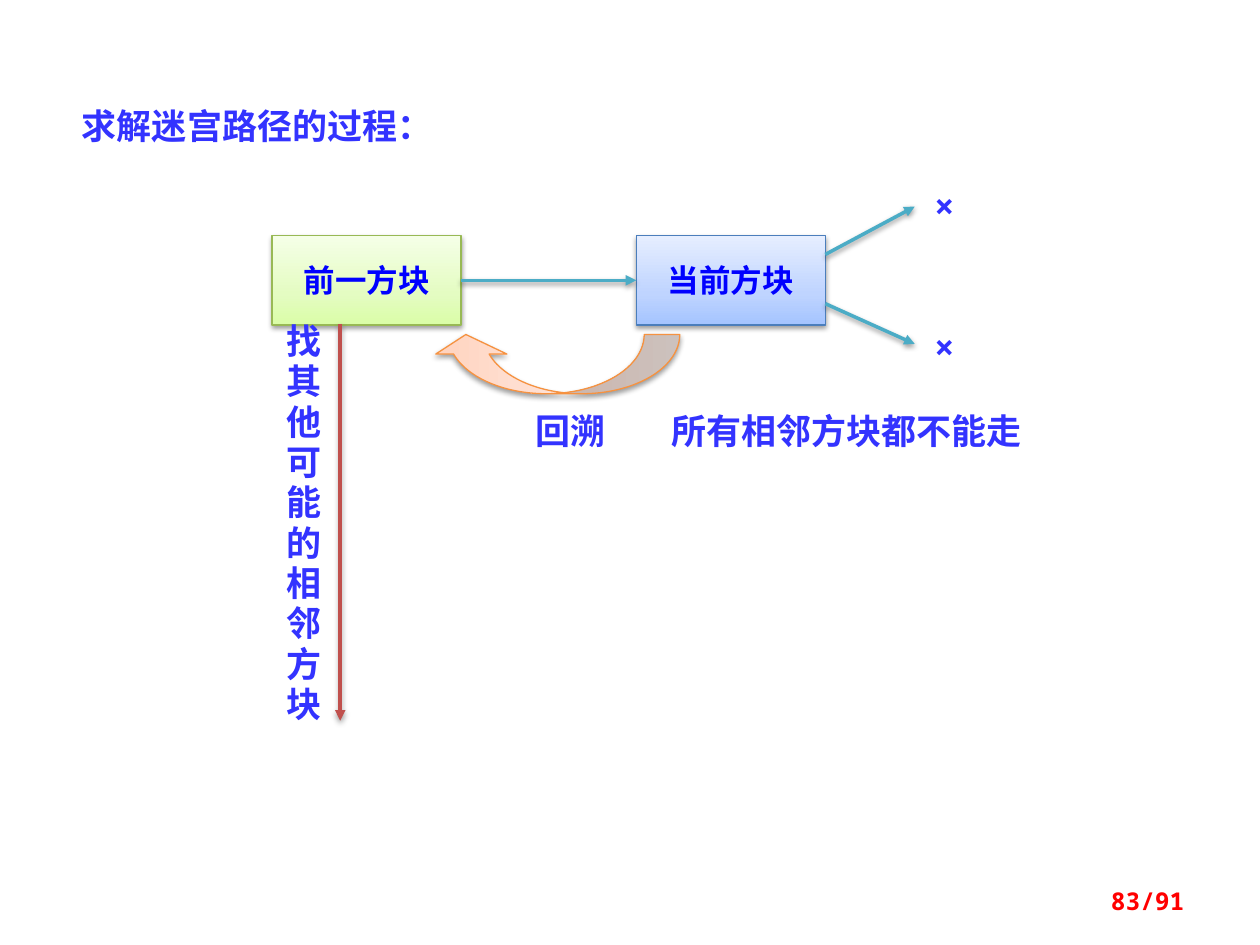
from lxml import etree
from pptx import Presentation, util as u
from pptx.dml.color import RGBColor
from pptx.enum import shapes, text
from pptx.oxml import parse_xml
from pptx.oxml.ns import nsdecls, qn

INDIGO = RGBColor(0x33, 0x33, 0xFF)
BLUE = RGBColor(0x00, 0x00, 0xFF)
RED = RGBColor(0xFF, 0x00, 0x00)
TEAL = RGBColor(0x4B, 0xAC, 0xC6)
BRICK = RGBColor(0xC0, 0x50, 0x4D)
GREEN_EDGE = RGBColor(0x98, 0xB9, 0x55)
BLUE_EDGE = RGBColor(0x4B, 0x7E, 0xBC)
ORANGE_EDGE = RGBColor(0xF6, 0x92, 0x40)
MONO, SC, JP = "Noto Sans Mono", "Noto Sans CJK SC", "Noto Sans CJK JP"
LEFT, CENTER, RIGHT = text.PP_ALIGN.LEFT, text.PP_ALIGN.CENTER, text.PP_ALIGN.RIGHT

prs = Presentation()
prs.slide_width, prs.slide_height = u.Inches(10), u.Inches(7.5)
slide = prs.slides.add_slide(prs.slide_layouts[5])
COL, ROW = prs.slide_width / 100, prs.slide_height / 75


def write(s, words, align=CENTER, size=20, color=INDIGO, latin=MONO, asian=SC, wrap=True):
    tf = s.text_frame
    tf.word_wrap = wrap
    tf.vertical_anchor = text.MSO_ANCHOR.MIDDLE
    p = tf.paragraphs[0]
    p.alignment = align
    r = p.add_run()
    r.text = words
    for name, value in dict(size=u.Pt(size), bold=True, name=latin).items():
        setattr(r.font, name, value)
    r.font.color.rgb = color
    etree.SubElement(r._r.get_or_add_rPr(), qn("a:ea"), typeface=asian)
    return r


def outline(s, color, width):
    s.line.color.rgb = color
    s.line.width = u.Pt(width)
    s._element.spPr.append(parse_xml(
        f'<a:effectLst {nsdecls("a")}><a:outerShdw blurRad="39370" dist="20320" dir="5400000" '
        'rotWithShape="0"><a:srgbClr val="000000"><a:alpha val="38000"/></a:srgbClr>'
        '</a:outerShdw></a:effectLst>'))


# Heading in the title placeholder
title = slide.shapes.title
title.left, title.top = int(5.5 * COL), int(7.8 * ROW)
title.width, title.height = int(37 * COL), int(4.4 * ROW)
write(title, "求解迷宫路径的过程：", LEFT)

# Blocks and the backtracking arrow, each with a bottom-to-top gradient
RECT, CURVED = shapes.MSO_SHAPE.RECTANGLE, shapes.MSO_SHAPE.CURVED_LEFT_ARROW
figures = []
for kind, x, y, w, h, edge, stops in (
    (RECT, 21.6, 18.7, 15, 7.1, GREEN_EDGE, ("DAFDA7", "E4FCC2", "F5FFE7")),
    (RECT, 50.5, 18.7, 15, 7.1, BLUE_EDGE, ("A4C4FF", "BFD4FF", "E6EEFF")),
    (CURVED, 41.7, 19, 4.7, 19.8, ORANGE_EDGE, ("FFD2BD", "FFDED0", "FFF2ED")),
):
    s = slide.shapes.add_shape(kind, int(x * COL), int(y * ROW), int(w * COL), int(h * ROW))
    gs = "".join(f'<a:gs pos="{pos}000"><a:srgbClr val="{c}"/></a:gs>'
                 for pos, c in zip((0, 35, 100), stops))
    s._element.spPr.find(qn("a:prstGeom")).addnext(parse_xml(
        f'<a:gradFill {nsdecls("a")} rotWithShape="1"><a:gsLst>{gs}</a:gsLst>'
        '<a:lin ang="16200000" scaled="0"/></a:gradFill>'))
    outline(s, edge, 0.75)
    figures.append(s)
previous, current, back = figures
write(previous, "前一方块", size=18, color=BLUE, wrap=False)
write(current, "当前方块", size=18, color=BLUE, wrap=False)
back.rotation = 90
for i, value in enumerate((0.6, 1.2, 0.33)):
    back.adjustments[i] = value

# Straight arrows: forward step, two dead ends, next search direction
arrows = []
for x1, y1, x2, y2, color in (
    (36.6, 22.25, 50.5, 22.25, TEAL),
    (65.5, 20.2, 72.6, 16.4, TEAL),
    (65.5, 24.1, 72.6, 27.3, TEAL),
    (27, 25.7, 27, 57.2, BRICK),
):
    s = slide.shapes.add_connector(shapes.MSO_CONNECTOR.STRAIGHT, int(x1 * COL), int(y1 * ROW),
                                   int(x2 * COL), int(y2 * ROW))
    outline(s, color, 2)
    etree.SubElement(s.line._get_or_add_ln(), qn("a:tailEnd"), type="triangle")
    arrows.append(s)
arrows[0].begin_connect(previous, 3)
arrows[0].end_connect(current, 1)

# Labels and page number
for words, x, y, w, h, style in (
    ("×", 71.8, 14.1, 6.3, 4.4, {}),
    ("×", 71.8, 25.3, 6.3, 4.4, {}),
    ("回溯", 40.6, 32, 9.4, 4.4, dict(latin=JP, asian=JP)),
    ("所有相邻方块都不能走", 52.3, 32, 31.3, 4.4, dict(align=LEFT, latin=SC)),
    ("83/91", 71.7, 69.5, 23.3, 4, dict(align=RIGHT, size=14, color=RED)),
):
    s = slide.shapes.add_textbox(int(x * COL), int(y * ROW), int(w * COL), int(h * ROW))
    write(s, words, **style)

# Vertical label beside the search arrow
s = slide.shapes.add_textbox(int(22.3 * COL), int(25.7 * ROW), int(3.4 * COL), int(32.9 * ROW))
r = write(s, "找其他可能的相邻方块", latin=SC)
r._r.get_or_add_rPr().set("spc", "300")
tf = s.text_frame
for side in ("left", "top", "right", "bottom"):
    setattr(tf, f"margin_{side}", 0)
tf._txBody.bodyPr.set("vert", "eaVert")

prs.save("out.pptx")
